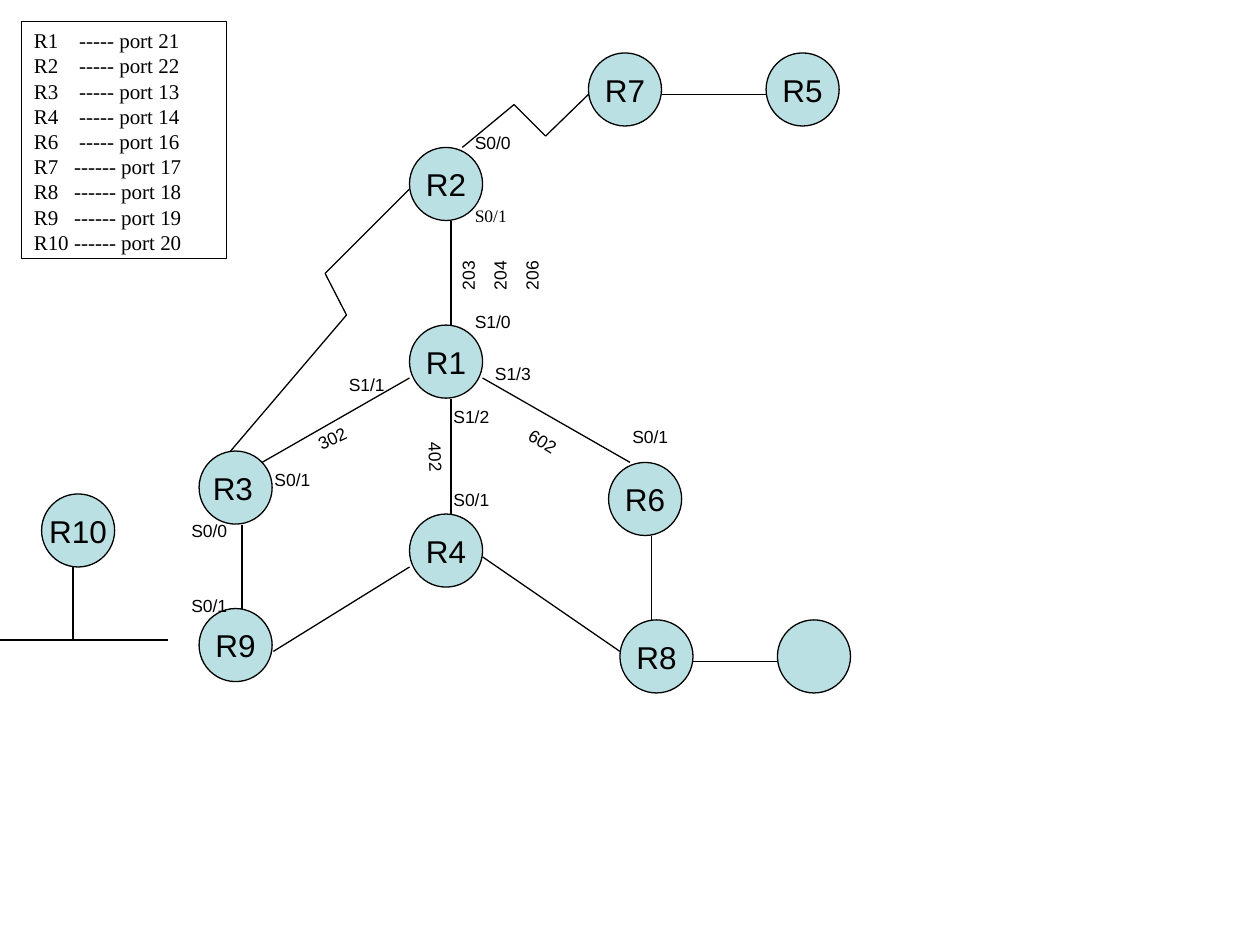
from itertools import pairwise

from lxml.etree import SubElement
from pptx import Presentation
from pptx.dml.color import RGBColor
from pptx.enum.shapes import MSO_CONNECTOR, MSO_SHAPE
from pptx.enum.text import MSO_ANCHOR, PP_ALIGN
from pptx.oxml.ns import qn
from pptx.util import Inches, Pt

BLACK, WHITE, ROUTER_FILL = "000000", "FFFFFF", "BBE0E3"
DIAMETER = 0.58

ROUTERS = [  # name, left, top
    ("R1", 3.25, 2.58), ("R9", 1.58, 4.83), ("R5", 6.08, 0.42),
    ("R2", 3.25, 1.17), ("R7", 4.67, 0.42), ("R8", 4.92, 4.92),
    ("R6", 4.83, 3.67), ("R4", 3.25, 4.08), ("R10", 0.33, 3.92),
    ("", 1.58, 3.58), ("", 6.17, 4.92),
]
LINKS = [  # the points that each link runs through
    [(3.58, 1.75), (3.58, 2.58)],
    [(3.25, 3), (2.08, 3.67)],
    [(3.83, 3), (5, 3.67)],
    [(3.58, 3.17), (3.58, 4.08)],
    [(3.25, 4.5), (2.17, 5.17)],
    [(1.92, 4.17), (1.92, 4.83)],
    [(5.17, 4.25), (5.17, 4.92)],
    [(3.83, 4.42), (4.92, 5.17)],
    [(5.5, 5.25), (6.17, 5.25)],
    [(5.25, 0.75), (6.08, 0.75)],
    [(3.67, 1.17), (4.08, 0.83), (4.33, 1.08), (4.67, 0.75)],
    [(3.25, 1.5), (2.58, 2.17), (2.75, 2.5), (1.83, 3.58)],
    [(0, 5.08), (1.33, 5.08)],
    [(0.58, 4.5), (0.58, 5.08)],
]
INTERFACES = [  # name, left, top, width
    ("S1/0", 3.67, 2.42, 0.67), ("S1/3", 3.83, 2.83, 0.5),
    ("S1/1", 2.67, 2.92, 0.58), ("S1/2", 3.5, 3.17, 0.58),
    ("S0/1", 2.08, 3.67, 0.58), ("S0/0", 1.42, 4.08, 0.5),
    ("S0/1", 1.42, 4.67, 0.5), ("S0/1", 4.92, 3.33, 0.58),
    ("S0/0", 3.67, 1, 0.67), ("S0/1", 3.5, 3.83, 0.58),
]
PORTS = {"R1": 21, "R2": 22, "R3": 13, "R4": 14, "R6": 16,
         "R7": 17, "R8": 18, "R9": 19, "R10": 20}


def rgb(color):
    return RGBColor.from_string(color)


def set_font(p, size, name="Arial"):
    for key, value in {"size": Pt(size), "name": name}.items():
        setattr(p.font, key, value)
    p.font.color.rgb = rgb(BLACK)


def add_box(slide, kind, left, top, width, height, fill):
    s = slide.shapes.add_shape(kind, *map(Inches, (left, top, width, height)))
    s.shadow.inherit = False
    s.fill.solid()
    s.fill.fore_color.rgb = rgb(fill)
    s.line.color.rgb = rgb(BLACK)
    s.line.width = Pt(0.75)
    return s


def add_router(slide, name, left, top):
    s = add_box(slide, MSO_SHAPE.OVAL, left, top, DIAMETER, DIAMETER, ROUTER_FILL)
    if name:
        tf = s.text_frame
        tf.word_wrap = False
        tf.vertical_anchor = MSO_ANCHOR.MIDDLE
        p = tf.paragraphs[0]
        p.text, p.alignment = name, PP_ALIGN.CENTER
        set_font(p, 18)


def add_link(slide, points):
    for start, end in pairwise(points):
        c = slide.shapes.add_connector(
            MSO_CONNECTOR.STRAIGHT, *map(Inches, (*start, *end)))
        c.line.color.rgb = rgb(BLACK)
        c.line.width = Pt(0.75)
        SubElement(c._element.spPr, qn("a:effectLst"))


def add_label(slide, text, left, top, width, height=0.27, rotation=0,
              size=10, font="Arial", wrap=True):
    s = slide.shapes.add_textbox(*map(Inches, (left, top, width, height)))
    s.rotation = rotation
    tf = s.text_frame
    tf.word_wrap = wrap
    tf.text = text
    for i, p in enumerate(tf.paragraphs):
        if i:
            p.space_before = Pt(6.2)
        set_font(p, size, font)


def add_port_list(slide):
    s = add_box(slide, MSO_SHAPE.RECTANGLE, 0.17, 0.17, 1.63, 1.88, WHITE)
    tf = s.text_frame
    tf.word_wrap = True
    tf.vertical_anchor = MSO_ANCHOR.TOP
    rows = []
    for router, port in PORTS.items():
        dashes = "-" * (5 if port in (21, 22) or port < 17 else 6)
        rows.append(f"{router}\t{dashes} port {port}")
    tf.text = "\n".join(rows)
    for p in tf.paragraphs:
        p.alignment = PP_ALIGN.LEFT
        stop = 0.32 if "------" in p.text else 0.36
        tabs = SubElement(p._p.get_or_add_pPr(), qn("a:tabLst"))
        SubElement(tabs, qn("a:tab"), pos=str(Inches(stop)), algn="l")
        set_font(p, 12, "Times New Roman")


def main():
    prs = Presentation()
    prs.slide_width, prs.slide_height = Inches(10), Inches(7.5)
    slide = prs.slides.add_slide(prs.slide_layouts[6])
    for router in ROUTERS:
        add_router(slide, *router)
    for points in LINKS:
        add_link(slide, points)
    add_label(slide, "R3", 1.59, 3.67, 0.52, 0.4, size=18, wrap=False)
    add_port_list(slide)
    add_label(slide, "S0/1", 3.67, 1.58, 0.67, font="Times New Roman")
    for interface in INTERFACES:
        add_label(slide, *interface)
    add_label(slide, "602", 4.08, 3.42, 0.61, rotation=32.2)
    add_label(slide, "402", 3.17, 3.57, 0.58, rotation=87.7)
    add_label(slide, "302", 2.42, 3.33, 0.5, rotation=334.8)
    add_label(slide, "203\n204\n206", 3.69, 1.73, 0.56, 0.78, rotation=270)
    prs.save("out.pptx")


if __name__ == "__main__":
    main()
